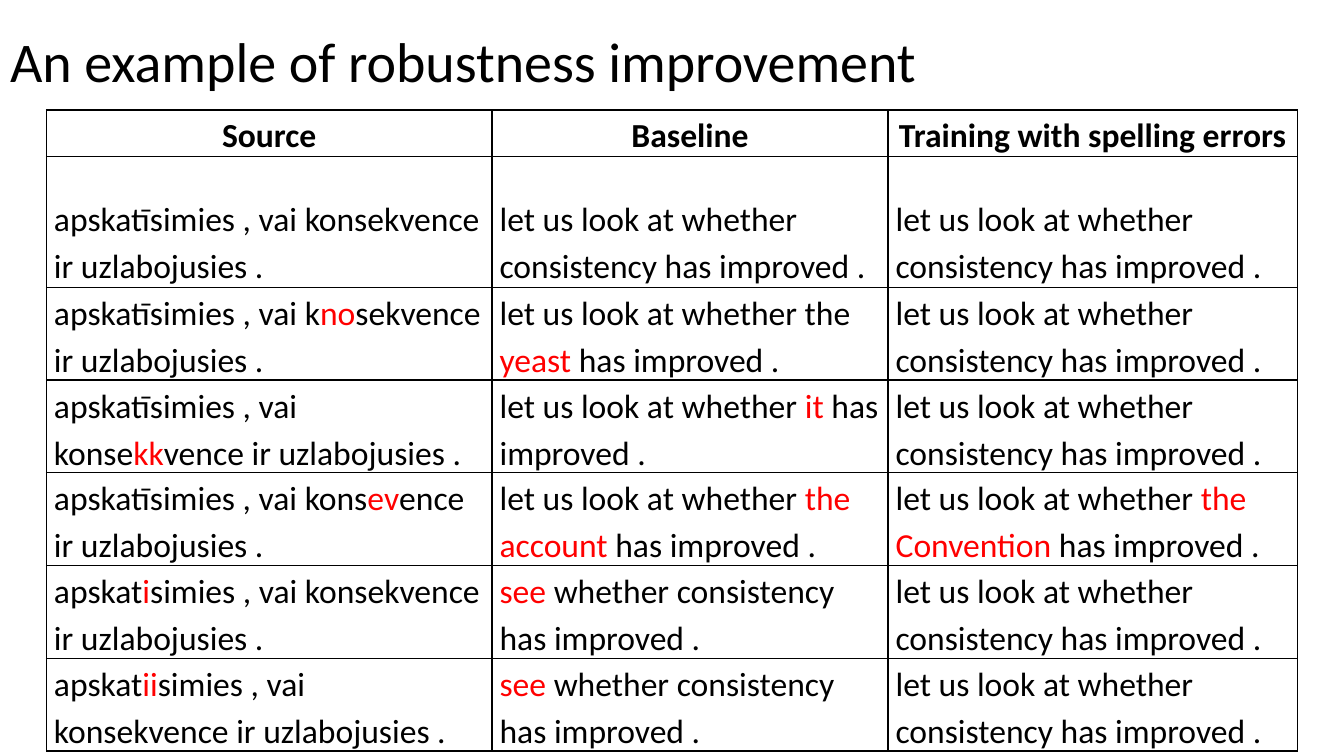
from dataclasses import dataclass

from lxml import etree
from pptx import Presentation
from pptx import util as u
from pptx.dml.color import RGBColor
from pptx.enum import text
from pptx.oxml.ns import qn


@dataclass(frozen=True)
class Theme:
    font: str = "Calibri"
    ink: str = "000000"
    error: str = "FF0000"
    title_size: int = 40
    table_size: int = 24
    border_width: int = 1
    line_spacing: float = 1.15


THEME = Theme()
TITLE_BOX = (0, 0.53, 33.6, 1.96)
TABLE_BOX = (1.17, 2.77, 31.52, 15.3)
COLUMN_WIDTHS = (11.23, 9.98, 10.31)
ROW_HEIGHTS = (1.07, 3.3) + (2.18,) * 5

# Words between bars are marked as errors
HEADINGS = ("Source", "Baseline", "Training with spelling errors")
CORRECT = "let us look at whether consistency has improved ."
EXAMPLES = (
    ("apskatīsimies , vai konsekvence ir uzlabojusies .", CORRECT, CORRECT),
    ("apskatīsimies , vai k|no|sekvence ir uzlabojusies .",
     "let us look at whether the |yeast| has improved .", CORRECT),
    ("apskatīsimies , vai konse|kk|vence ir uzlabojusies .",
     "let us look at whether |it| has improved .", CORRECT),
    ("apskatīsimies , vai kons|ev|ence ir uzlabojusies .",
     "let us look at whether |the account| has improved .",
     "let us look at whether |the Convention| has improved ."),
    ("apskat|i|simies , vai konsekvence ir uzlabojusies .",
     "|see |whether consistency has improved .", CORRECT),
    ("apskat|ii|simies , vai konsekvence ir uzlabojusies .",
     "|see |whether consistency has improved .", CORRECT),
)


def apply_format(target, values):
    for name, value in values.items():
        setattr(target, name, value)


def write_runs(paragraph, marked_text, size, bold=False):
    for index, part in enumerate(marked_text.split("|")):
        if not part:
            continue
        run = paragraph.add_run()
        run.text = part
        apply_format(run.font, {"name": THEME.font, "size": u.Pt(size), "bold": bold})
        color = THEME.error if index % 2 else THEME.ink
        run.font.color.rgb = RGBColor.from_string(color)


def add_borders(cell):
    properties = cell._tc.get_or_add_tcPr()
    for side in ("a:lnL", "a:lnR", "a:lnT", "a:lnB"):
        line = etree.SubElement(properties, qn(side), w=str(u.Pt(THEME.border_width)))
        fill = etree.SubElement(line, qn("a:solidFill"))
        etree.SubElement(fill, qn("a:srgbClr"), val=THEME.ink)


def place_title(slide, box, wording):
    title = slide.shapes.title
    left, top, width, height = map(u.Cm, box)
    apply_format(title, {"left": left, "top": top, "width": width, "height": height})
    apply_format(title.text_frame, {
        "word_wrap": True,
        "auto_size": text.MSO_AUTO_SIZE.SHAPE_TO_FIT_TEXT,
        "vertical_anchor": text.MSO_ANCHOR.TOP,
    })
    paragraph = title.text_frame.paragraphs[0]
    paragraph.alignment = text.PP_ALIGN.LEFT
    write_runs(paragraph, wording, THEME.title_size)


def fill_cell(cell, wording, heading):
    add_borders(cell)
    cell.fill.background()
    apply_format(cell, {
        "vertical_anchor": text.MSO_ANCHOR.BOTTOM,
        "margin_left": u.Cm(0.19), "margin_right": u.Cm(0.19),
        "margin_top": 0, "margin_bottom": 0,
    })
    paragraph = cell.text_frame.paragraphs[0]
    apply_format(paragraph, {
        "alignment": text.PP_ALIGN.CENTER if heading else text.PP_ALIGN.LEFT,
        "line_spacing": THEME.line_spacing,
    })
    write_runs(paragraph, wording, THEME.table_size, bold=heading)


def place_table(slide, box, rows):
    frame = slide.shapes.add_table(len(rows), len(rows[0]), *map(u.Cm, box))
    table = frame.table
    apply_format(table, {"first_row": False, "horz_banding": False})
    for column, width in zip(table.columns, COLUMN_WIDTHS):
        column.width = u.Cm(width)
    for row, height in zip(table.rows, ROW_HEIGHTS):
        row.height = u.Cm(height)
    for row_index, row in enumerate(rows):
        for column_index, wording in enumerate(row):
            fill_cell(table.cell(row_index, column_index), wording, row_index == 0)


def main():
    presentation = Presentation()
    apply_format(presentation, {"slide_width": u.Cm(33.87), "slide_height": u.Cm(19.05)})
    slide = presentation.slides.add_slide(presentation.slide_layouts.get_by_name("Title Only"))
    place_title(slide, TITLE_BOX, "An example of robustness improvement")
    place_table(slide, TABLE_BOX, (HEADINGS,) + EXAMPLES)
    presentation.save("out.pptx")


if __name__ == "__main__":
    main()
